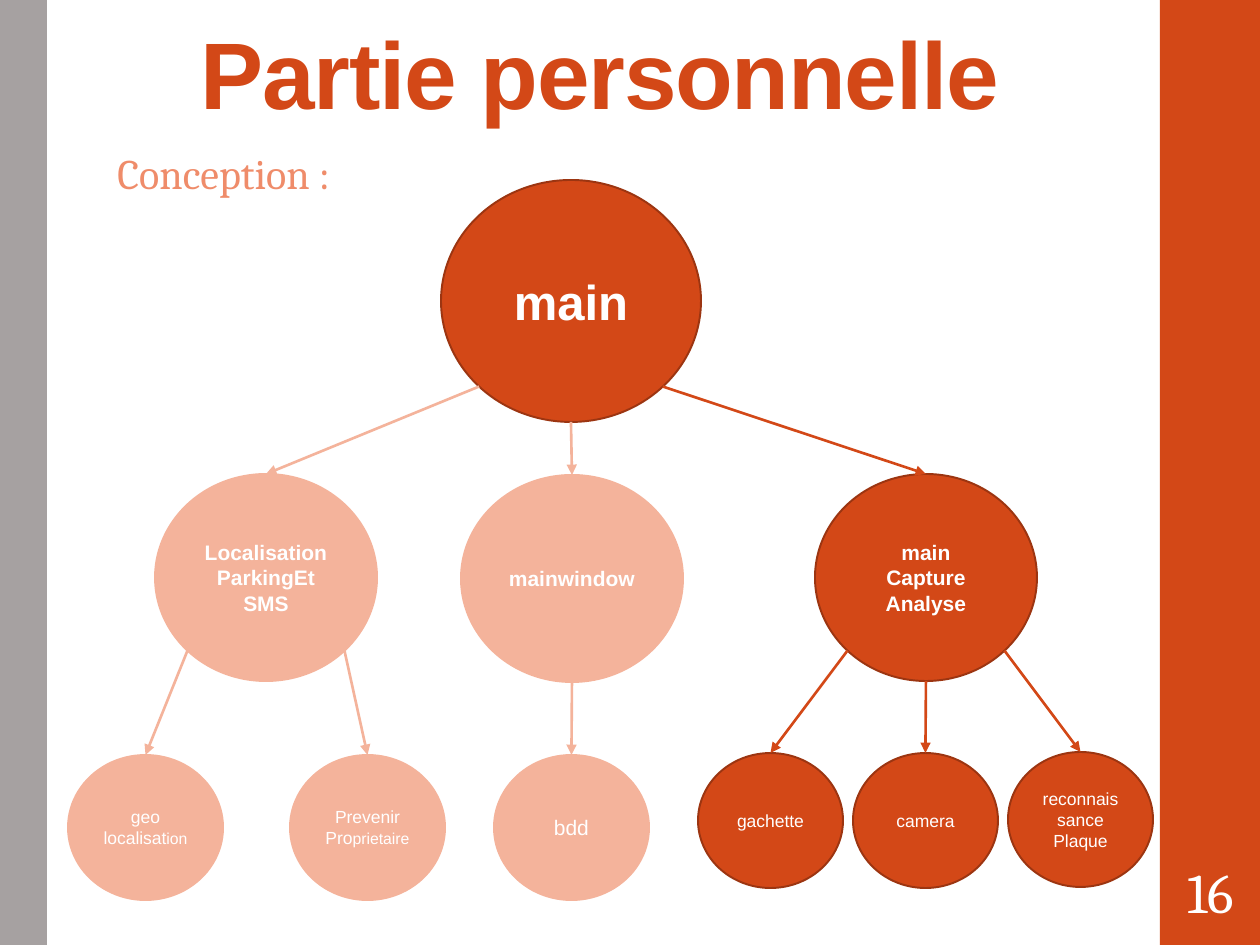
from dataclasses import dataclass
from math import sqrt

from lxml import etree
from pptx import Presentation
from pptx.dml.color import RGBColor
from pptx.enum.shapes import MSO_CONNECTOR, MSO_SHAPE
from pptx.enum.text import MSO_ANCHOR, MSO_AUTO_SIZE, PP_ALIGN
from pptx.oxml.ns import qn
from pptx.util import Emu, Pt

CENTER, LEFT = PP_ALIGN.CENTER, PP_ALIGN.LEFT
MIDDLE, BOTTOM, TOP = MSO_ANCHOR.MIDDLE, MSO_ANCHOR.BOTTOM, MSO_ANCHOR.TOP
OVAL, RECTANGLE = MSO_SHAPE.OVAL, MSO_SHAPE.RECTANGLE
STRAIGHT = MSO_CONNECTOR.STRAIGHT
NO_AUTOFIT = MSO_AUTO_SIZE.NONE
TITLE_ONLY = 5
EMU_PER_PX = 914400 / 126


@dataclass(frozen=True)
class Theme:
    accent: str = "D34817"
    accent_outline: str = "9C3511"
    faded: str = "F4B39B"
    subtitle: str = "EF8C6A"
    side: str = "A6A1A1"
    white: str = "FFFFFF"
    sans: str = "Arial"
    serif: str = "Cambria"
    title_size: int = 54
    number_size: int = 32
    root_size: int = 28
    subtitle_size: int = 24
    branch_size: int = 12
    leaf_size: int = 10
    tail_size: int = 9
    outline_width: float = 1.1
    arrow_width: float = 1.5


THEME = Theme()


@dataclass(frozen=True)
class Node:
    """A module of the tree; a line may be a (start, smaller tail) pair."""
    box: tuple
    lines: tuple
    size: int
    bold: bool = False
    active: bool = False
    children: tuple = ()


def leaf(left, top, *lines, active=False, size=THEME.leaf_size):
    width, height = (145, 135) if active else (155, 145)
    return Node((left, top, width, height), lines, size, active=active)


def branch(left, top, *lines, children, active=False):
    return Node((left, top, 222, 207), lines, THEME.branch_size, True, active, children)


TREE = Node((441, 180, 260, 242), ("main",), THEME.root_size, True, True, (
    branch(155, 474, "Localisation", "ParkingEt", "SMS", children=(
        leaf(68, 755, "geo", ("localisat", "ion")),
        leaf(290, 755, "Prevenir", ("Pro", "prietaire")),
    )),
    branch(461, 475, "mainwindow", children=(
        leaf(494, 755, "bdd", size=THEME.branch_size),
    )),
    branch(815, 474, "main", "Capture", "Analyse", active=True, children=(
        leaf(698, 753, "gachette", active=True),
        leaf(853, 753, "camera", active=True),
        leaf(1008, 752, "reconnaissance", "Plaque", active=True),
    )),
))


def px(*lengths):
    return [Emu(round(length * EMU_PER_PX)) for length in lengths]


def color(value):
    return RGBColor.from_string(value)


def write(text_frame, *lines, size, font=THEME.sans, ink=THEME.white, bold=False,
          align=CENTER, anchor=MIDDLE, wrap=True, line_spacing=None, tracking=None):
    text_frame.word_wrap = wrap
    text_frame.auto_size = NO_AUTOFIT
    text_frame.vertical_anchor = anchor
    for index, line in enumerate(lines):
        paragraph = text_frame.add_paragraph() if index else text_frame.paragraphs[0]
        paragraph.alignment = align
        if line_spacing:
            paragraph.line_spacing = line_spacing
        parts = (line,) if isinstance(line, str) else line
        for text, points in zip(parts, (size, THEME.tail_size)):
            run = paragraph.add_run()
            run.text = text
            run.font.size = Pt(points)
            run.font.name = font
            run.font.bold = bold
            run.font.color.rgb = color(ink)
            if tracking:
                run.font._element.set("spc", str(tracking))


def add_block(slide, kind, box, fill, outline=None):
    shape = slide.shapes.add_shape(kind, *px(*box))
    shape.shadow.inherit = False
    shape.fill.solid()
    shape.fill.fore_color.rgb = color(fill)
    if outline:
        shape.line.color.rgb = color(outline)
        shape.line.width = Pt(THEME.outline_width)
    else:
        shape.line.fill.background()
    return shape


def add_label(slide, box, text, **text_format):
    text_box = slide.shapes.add_textbox(*px(*box))
    write(text_box.text_frame, text, font=THEME.serif, **text_format)
    return text_box


def add_arrow(slide, start, end, ink):
    connector = slide.shapes.add_connector(STRAIGHT, *px(*start, *end))
    connector.line.color.rgb = color(ink)
    connector.line.width = Pt(THEME.arrow_width)
    line = connector.line._get_or_add_ln()
    etree.SubElement(line, qn("a:tailEnd"), type="triangle")
    etree.SubElement(connector._element.spPr, qn("a:effectLst"))


def departure(box, side):
    """Point on an ellipse's lower edge: side is -1 left, 0 bottom, 1 right."""
    left, top, width, height = box
    reach = 1 / sqrt(2) if side else 1
    return (left + width / 2 * (1 + side * reach), top + height / 2 * (1 + reach))


def add_tree(slide, node):
    fill, outline = ((THEME.accent, THEME.accent_outline) if node.active
                     else (THEME.faded, THEME.faded))
    ellipse = add_block(slide, OVAL, node.box, fill, outline)
    write(ellipse.text_frame, *node.lines, size=node.size, bold=node.bold)
    sides = {0: (), 1: (0,), 2: (-1, 1), 3: (-1, 0, 1)}[len(node.children)]
    for child, side in zip(node.children, sides):
        add_tree(slide, child)
        left, top, width, _ = child.box
        add_arrow(slide, departure(node.box, side), (left + width / 2, top),
                  THEME.accent if child.active else THEME.faded)


def add_title(slide, box, text):
    title = slide.shapes.title
    title.left, title.top, title.width, title.height = px(*box)
    write(title.text_frame, text, size=THEME.title_size, ink=THEME.accent, bold=True,
          anchor=BOTTOM, line_spacing=0.9, tracking=-70)


def main():
    presentation = Presentation()
    presentation.slide_width, presentation.slide_height = px(1260, 945)
    slide = presentation.slides.add_slide(presentation.slide_layouts[TITLE_ONLY])

    add_block(slide, RECTANGLE, (1160, 0, 100, 945), THEME.accent)
    add_block(slide, RECTANGLE, (0, 0, 47, 945), THEME.side)
    number = add_label(slide, (1163, 850, 95, 82), "16", size=THEME.number_size)
    number.text_frame.margin_left, number.text_frame.margin_right = px(4, 4)

    add_title(slide, (44, 16, 1111, 120), "Partie personnelle")
    add_label(slide, (105, 141, 268, 63), "Conception :", size=THEME.subtitle_size,
              ink=THEME.subtitle, align=LEFT, anchor=TOP, wrap=False)
    add_tree(slide, TREE)
    presentation.save("out.pptx")


if __name__ == "__main__":
    main()
